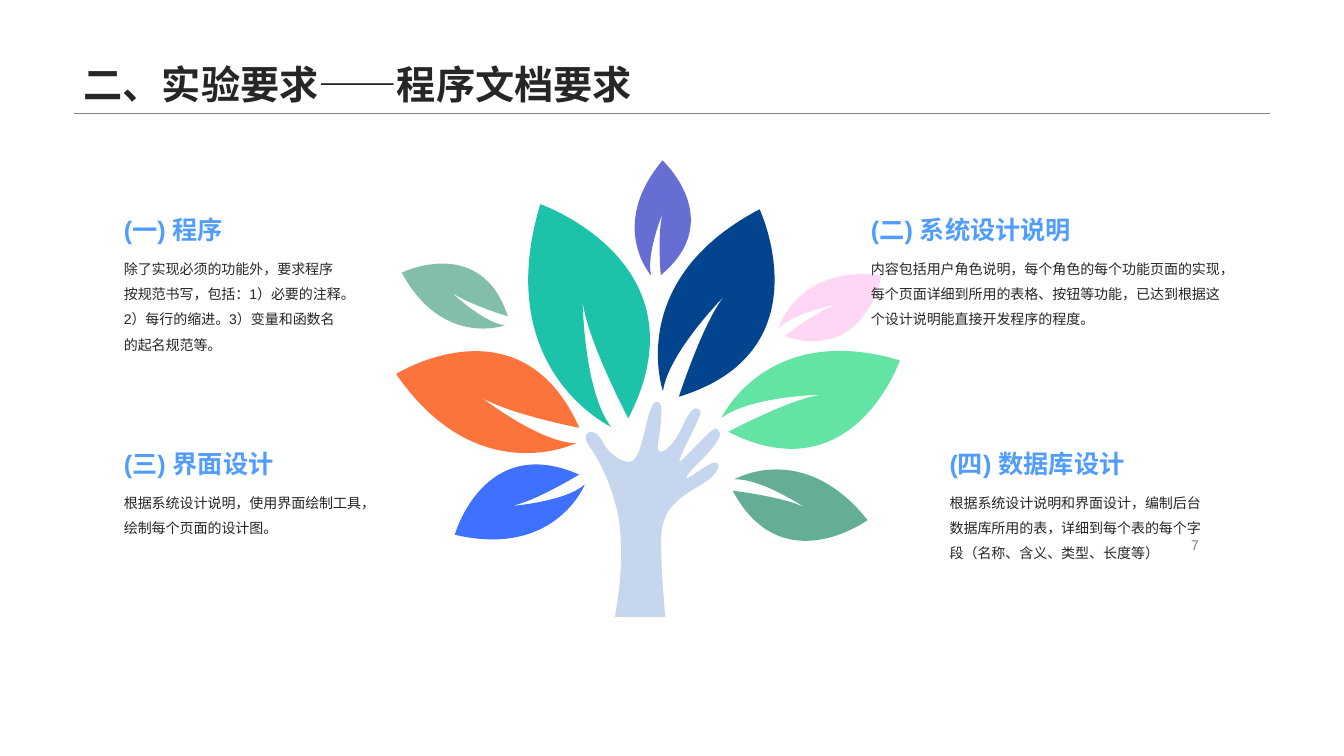
from lxml.etree import SubElement
from pptx import Presentation
from pptx.dml.color import RGBColor
from pptx.enum.shapes import MSO_CONNECTOR
from pptx.enum.text import MSO_ANCHOR, MSO_AUTO_SIZE, PP_ALIGN
from pptx.oxml.ns import qn
from pptx.util import Pt

PX = 9144
FONT = "Arial"
COLORS = {
    "ink": "262626", "gray": "808080", "heading": "519DFF", "hand": "C6D6EE",
    "orange": "FC743C", "teal": "1DC3A8", "navy": "02458E", "mint": "63E3A4",
    "sage": "64AE97", "blue": "3E71FF", "violet": "676ED3", "pink": "FF33CC",
}

HAND_START = (72, 0)
HAND = [
    (77, 1, 75, 21, 72, 39), (68, 59, 85, 48, 96, 24),
    (107, -1, 113, 6, 114, 10), (115, 13, 91, 57, 93, 59),
    (94, 61, 125, 25, 129, 26), (131, 27, 137, 30, 129, 41),
    (122, 52, 99, 71, 100, 75), (101, 78, 121, 60, 128, 60),
    (135, 60, 132, 70, 119, 79), (107, 88, 76, 98, 75, 132),
    (74, 155, 77, 192, 79, 213), (29, 213), (30, 207),
    (35, 178, 38, 137, 31, 107), (18, 54, -2, 42, 0, 34),
    (2, 26, 12, 30, 16, 38), (19, 45, 32, 61, 45, 59),
    (57, 56, 60, 5, 69, 0), (70, 0, 71, 0, 72, 0),
]

LEAF_START = (1000, 511)
LEAF = [
    (1000, 511, 688, 1000, 0, 693), (0, 693, 348, 0, 973, 432),
    (973, 432, 611, 567, 443, 564), (443, 564, 831, 609, 1000, 511),
]

LEAVES = [
    (398, 295, 188, 31.4, "orange", 100),
    (480, 196, 228, 82.7, "teal", 100),
    (621, 210, 201, 128.3, "navy", 100),
    (715, 313, 183, 172.4, "mint", 100),
    (720, 440, 136, 207.3, "sage", 100),
    (445, 424, 136, 349.2, "blue", 100),
    (400, 231, 113, 37.4, "sage", 80),
    (606, 163, 113, 105.9, "violet", 100),
    (770, 254, 113, 162.9, "pink", 20),
]

TOPICS = [
    (113, 196, 240, 153, "(一) 程序",
     "除了实现必须的功能外，要求程序按规范书写，包括：1）必要的注释。2）每行的缩进。3）变量和函数名的起名规范等。"),
    (113, 428, 272, 148, "(三) 界面设计",
     "根据系统设计说明，使用界面绘制工具，绘制每个页面的设计图。"),
    (854, 196, 373, 92, "(二) 系统设计说明",
     "内容包括用户角色说明，每个角色的每个功能页面的实现，每个页面详细到所用的表格、按钮等功能，已达到根据这个设计说明能直接开发程序的程度。"),
    (932, 428, 272, 148, "(四) 数据库设计",
     "根据系统设计说明和界面设计，编制后台数据库所用的表，详细到每个表的每个字段（名称、含义、类型、长度等）"),
]


def color(name):
    """Return the named colour."""
    return RGBColor.from_string(COLORS[name])


def write(box, text, size, ink, bold=False, wrap=True, anchor=MSO_ANCHOR.TOP,
          align=PP_ALIGN.LEFT, spacing=None):
    """Fill a text holder with one formatted paragraph."""
    frame = box.text_frame
    frame.text = text
    frame.word_wrap = wrap
    frame.auto_size = MSO_AUTO_SIZE.NONE
    frame.vertical_anchor = anchor
    para = frame.paragraphs[0]
    para.alignment = align
    para.line_spacing = spacing
    font = para.runs[0].font
    font.name, font.size, font.bold = FONT, Pt(size), bold
    font.color.rgb = color(ink)


def add_text(shapes, left, top, width, height, text, size, ink, **style):
    """Add a text box at a place given in px."""
    box = shapes.add_textbox(left * PX, top * PX, width * PX, height * PX)
    write(box, text, size, ink, **style)


def add_title(page, text):
    """Place the title above its rule."""
    rule = page.shapes.add_connector(
        MSO_CONNECTOR.STRAIGHT, 73 * PX, 112 * PX, 1260 * PX, 112 * PX)
    rule.line.color.rgb = color("gray")
    rule.line.width = Pt(0.25)
    SubElement(rule.element.spPr, qn("a:effectLst"))
    title = page.shapes.title
    title.left, title.top = 73 * PX, 0
    title.width, title.height = 1187 * PX, 112 * PX
    write(title, text, 28, "ink", bold=True, anchor=MSO_ANCHOR.BOTTOM, spacing=0.9)


def add_step(outline, kind, numbers):
    """Append one drawing step with its points."""
    step = SubElement(outline, qn(kind))
    for x, y in zip(numbers[::2], numbers[1::2]):
        SubElement(step, qn("a:pt"), x=str(x), y=str(y))


def add_outline(page, left, top, width, height, grid, start, segments, fill):
    """Draw a filled shape of straight and cubic segments on a local grid."""
    right, bottom = left + width, top + height
    builder = page.shapes.build_freeform(left * PX, top * PX)
    builder.add_line_segments(
        [(x * PX, y * PX) for x, y in ((right, top), (right, bottom), (left, bottom))])
    shape = builder.convert_to_shape()
    outline = next(shape.element.iter(qn("a:path")))
    for step in list(outline):
        outline.remove(step)
    outline.set("w", str(grid[0]))
    outline.set("h", str(grid[1]))
    add_step(outline, "a:moveTo", start)
    for segment in segments:
        add_step(outline, "a:lnTo" if len(segment) == 2 else "a:cubicBezTo", segment)
    SubElement(outline, qn("a:close"))
    shape.shadow.inherit = False
    shape.line.fill.background()
    shape.fill.solid()
    shape.fill.fore_color.rgb = color(fill)
    return shape


def add_leaf(page, left, top, size, angle, fill, opacity):
    """Draw a turned leaf, translucent below full opacity."""
    leaf = add_outline(page, left, top, size, size, (1000, 1000), LEAF_START, LEAF, fill)
    leaf.rotation = angle
    if opacity < 100:
        tint = leaf.element.spPr.find(qn("a:solidFill"))[0]
        SubElement(tint, qn("a:alpha"), val=str(opacity * 1000))


def add_topic(page, left, top, width, height, heading, body):
    """Add a grouped heading and explanation."""
    group = page.shapes.add_group_shape()
    add_text(group.shapes, left, top + 49, width, height, body, 10, "ink", spacing=1.5)
    add_text(group.shapes, left, top, 264, 64, heading, 18, "heading",
             bold=True, wrap=False, anchor=MSO_ANCHOR.MIDDLE)


def main():
    """Build the slide and save it."""
    deck = Presentation()
    deck.slide_width, deck.slide_height = 1333 * PX, 750 * PX
    page = deck.slides.add_slide(deck.slide_layouts[5])
    add_title(page, "二、实验要求——程序文档要求")
    add_text(page.shapes, 881, 529, 318, 23, "7", 10, "gray",
             anchor=MSO_ANCHOR.MIDDLE, align=PP_ALIGN.RIGHT)
    add_topic(page, *TOPICS[0])
    add_outline(page, 581, 399, 133, 214, (133, 214), HAND_START, HAND, "hand")
    for leaf in LEAVES:
        add_leaf(page, *leaf)
    for topic in TOPICS[1:]:
        add_topic(page, *topic)
    deck.save("out.pptx")


if __name__ == "__main__":
    main()
